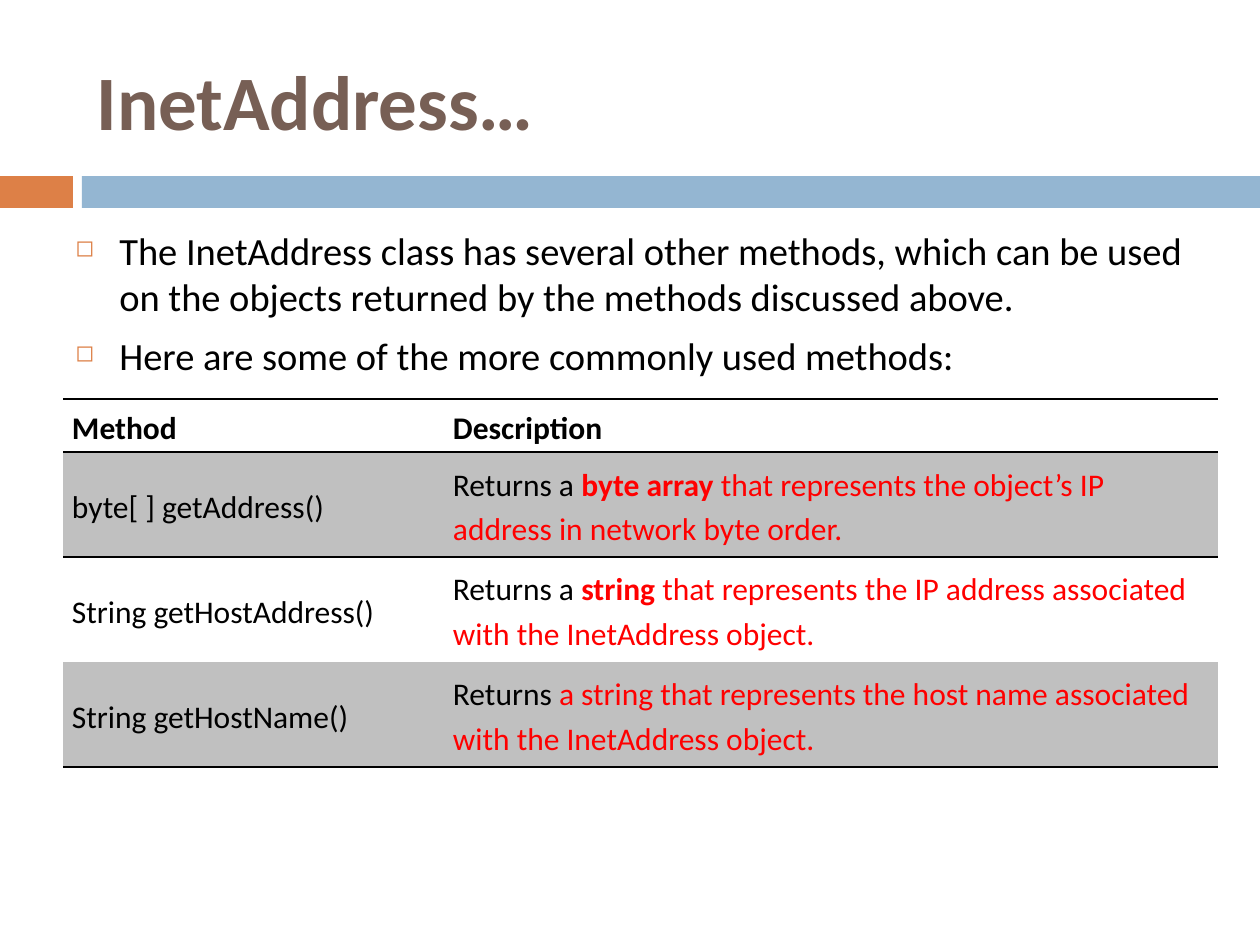
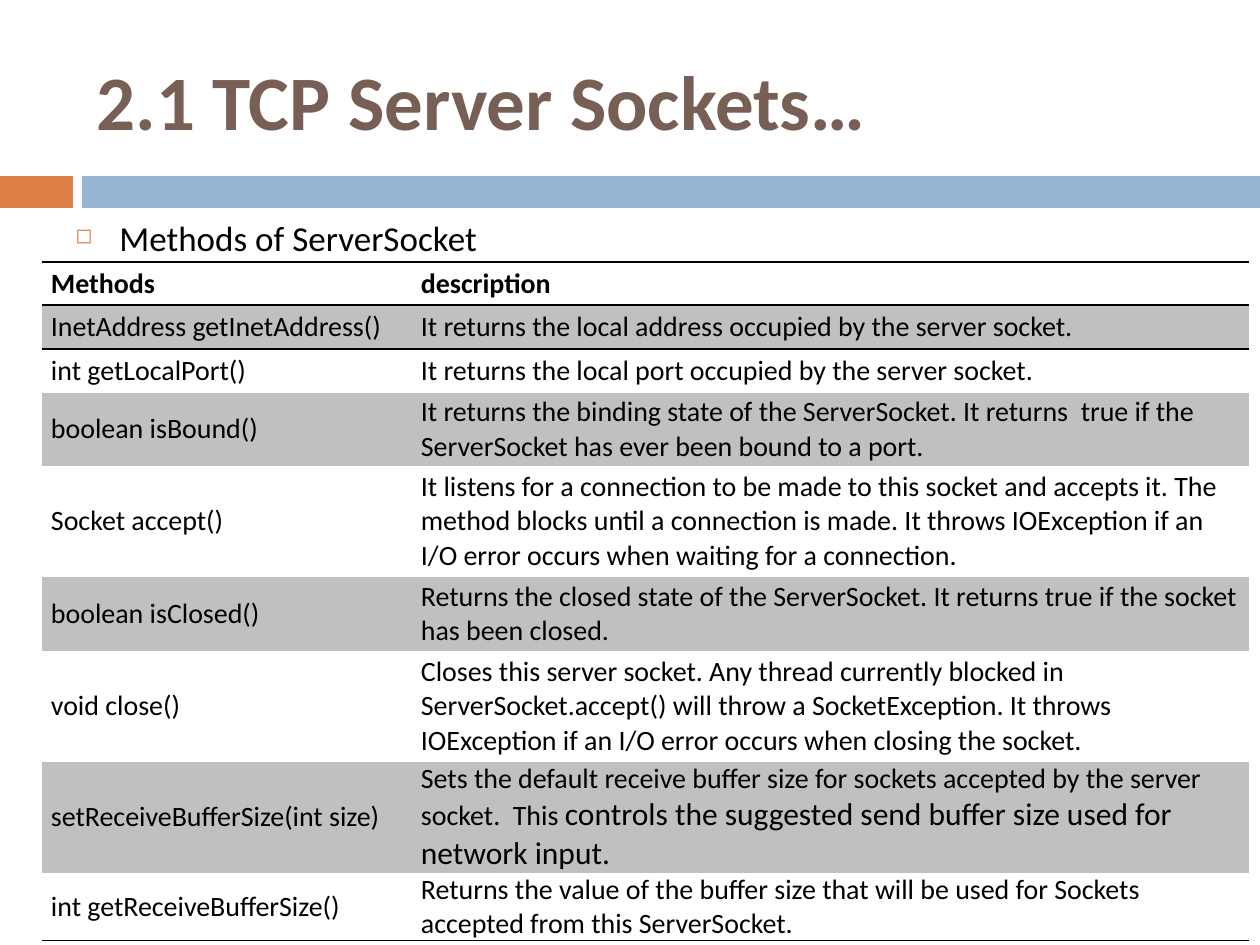
from lxml.etree import SubElement
from pptx import Presentation
from pptx.dml.color import RGBColor
from pptx.enum.shapes import MSO_SHAPE
from pptx.enum.text import MSO_ANCHOR, MSO_AUTO_SIZE, PP_ALIGN
from pptx.oxml import parse_xml
from pptx.oxml.ns import nsdecls, qn
from pptx.util import Pt

PX = 914400 / 126  # EMU in one pixel
FONT = "Calibri"
BLACK, RED, GREY = "000000", "FF0000", "C0C0C0"
ORANGE, BLUE, BROWN = "DD8047", "94B6D2", "775F55"
BANDS = [(0, 73, ORANGE), (82, 1178, BLUE)]
NO_STYLE = "{2D5ABB26-0587-4C30-8999-92F81FD0307C}"


def px(*lengths):
    return [round(n * PX) for n in lengths]


def add_run(p, text, size=18, color=BLACK, bold=False):
    r = p.add_run()
    r.text = text
    r.font.name, r.font.size, r.font.bold = FONT, Pt(size), bold
    r.font.color.rgb = RGBColor.from_string(color)


# Content: a cell is a list of (text, format) runs
slides = [
    dict(
        title="InetAddress…",
        bullets=[
            "The InetAddress class has several other methods, which can be used "
            "on the objects returned by the methods discussed above.",
            "Here are some of the more commonly used methods:",
        ],
        bullet_size=22, body_top=221,
        table_at=(63, 399), cols=(381, 774), rows=(53, 105, 105, 105),
        size=18, spacing=1.15,
        cells=[
            ("Method", [("Description", {})]),
            ("byte[ ] getAddress()", [
                ("Returns a ", {}),
                ("byte array ", dict(color=RED, bold=True)),
                ("that represents the object’s IP address in network byte order.",
                 dict(color=RED))]),
            ("String getHostAddress()", [
                ("Returns a ", {}),
                ("string", dict(color=RED, bold=True)),
                (" that represents the IP address associated with the "
                 "InetAddress object.", dict(color=RED))]),
            ("String getHostName()", [
                ("Returns ", {}),
                ("a string that represents the host name associated with the "
                 "InetAddress object.", dict(color=RED))]),
        ],
    ),
    dict(
        title="2.1 TCP Server Sockets…",
        bullets=["Methods of ServerSocket"],
        bullet_size=20, body_top=210,
        table_at=(42, 262), cols=(370, 837),
        rows=(43, 44, 44, 73, 111, 74, 111, 111, 68),
        size=16, spacing=1.0,
        cells=[
            ("Methods", [("description", {})]),
            ("InetAddress getInetAddress()", [
                ("It returns the local address occupied by the server socket.", {})]),
            ("int getLocalPort()", [
                ("It returns the local port occupied by the server socket.", {})]),
            ("boolean isBound()", [
                ("It returns the binding state of the ServerSocket. It returns  true "
                 "if the ServerSocket has ever been bound to a port.", {})]),
            ("Socket accept()", [
                ("It listens for a connection to be made to this socket and accepts "
                 "it. The method blocks until a connection is made. It throws "
                 "IOException if an I/O error occurs when waiting for a "
                 "connection.", {})]),
            ("boolean isClosed()", [
                ("Returns the closed state of the ServerSocket. It returns true if "
                 "the socket has been closed.", {})]),
            ("void close()", [
                ("Closes this server socket. Any thread currently blocked in "
                 "ServerSocket.accept() will throw a SocketException. It throws "
                 "IOException if an I/O error occurs when closing the socket.", {})]),
            ("setReceiveBufferSize(int size)", [
                ("Sets the default receive buffer size for sockets accepted by the "
                 "server socket.  This ", {}),
                ("controls the suggested send buffer size used for network input.",
                 dict(size=18))]),
            ("int getReceiveBufferSize()", [
                ("Returns the value of the buffer size that will be used for Sockets "
                 "accepted from this ServerSocket.", {})]),
        ],
    ),
]

prs = Presentation()
prs.slide_width, prs.slide_height = px(1260, 945)

for content in slides:
    s = prs.slides.add_slide(prs.slide_layouts[5])

    # Bands under the title
    for left, width, color in BANDS:
        sp = s.shapes.add_shape(MSO_SHAPE.RECTANGLE, *px(left, 176, width, 32))
        sp.shadow.inherit = False
        sp.fill.solid()
        sp.fill.fore_color.rgb = RGBColor.from_string(color)
        sp.line.fill.background()

    # Title
    title = s.shapes.title
    title.left, title.top, title.width, title.height = px(84, 32, 1124, 136)
    tf = title.text_frame
    tf.auto_size = MSO_AUTO_SIZE.NONE
    tf.vertical_anchor = MSO_ANCHOR.MIDDLE
    p = tf.paragraphs[0]
    p.alignment = PP_ALIGN.LEFT
    add_run(p, content["title"], size=44, color=BROWN, bold=True)

    # Bulleted text
    body_top = content["body_top"]
    body_height = content["table_at"][1] - body_top
    tf = s.shapes.add_textbox(*px(63, body_top, 1134, body_height)).text_frame
    tf.word_wrap = True
    for i, text in enumerate(content["bullets"]):
        p = tf.add_paragraph() if i else tf.paragraphs[0]
        p.space_before = Pt(7)
        add_run(p, text, size=content["bullet_size"])
        pPr = p._p.get_or_add_pPr()
        indent = px(44)[0]
        pPr.set("marL", str(indent))
        pPr.set("indent", str(-indent))
        SubElement(SubElement(pPr, qn("a:buClr")), qn("a:srgbClr")).set("val", ORANGE)
        SubElement(pPr, qn("a:buSzPct")).set("val", "60000")
        SubElement(pPr, qn("a:buChar")).set("char", "◻")

    # Table of methods
    cols, rows = content["cols"], content["rows"]
    frame = s.shapes.add_table(len(rows), len(cols),
                               *px(*content["table_at"], sum(cols), sum(rows)))
    table = frame.table
    table._tbl.tblPr.find(qn("a:tableStyleId")).text = NO_STYLE
    for column, width in zip(table.columns, px(*cols)):
        column.width = width
    for row, height in zip(table.rows, px(*rows)):
        row.height = height

    last = len(rows) - 1
    for i, (method, description) in enumerate(content["cells"]):
        # Rules run above and below the header and below the last row
        sides = {0: ("lnT", "lnB"), 1: ("lnT",), last: ("lnB",)}.get(i, ())
        for j, runs in enumerate([[(method, {})], description]):
            cell = table.cell(i, j)
            cell.vertical_anchor = MSO_ANCHOR.MIDDLE
            cell.margin_left, cell.margin_right = px(9, 9)
            cell.margin_top = cell.margin_bottom = 0
            p = cell.text_frame.paragraphs[0]
            p.line_spacing = content["spacing"]
            for text, style in runs:
                add_run(p, text, **{"size": content["size"], "bold": i == 0, **style})
            tcPr = cell._tc.get_or_add_tcPr()
            for side in sides:
                tcPr.append(parse_xml(
                    f'<a:{side} w="{Pt(1)}" {nsdecls("a")}><a:solidFill>'
                    f'<a:srgbClr val="{BLACK}"/></a:solidFill></a:{side}>'))
            if i % 2:
                cell.fill.solid()
                cell.fill.fore_color.rgb = RGBColor.from_string(GREY)
            else:
                cell.fill.background()

prs.save("out.pptx")
